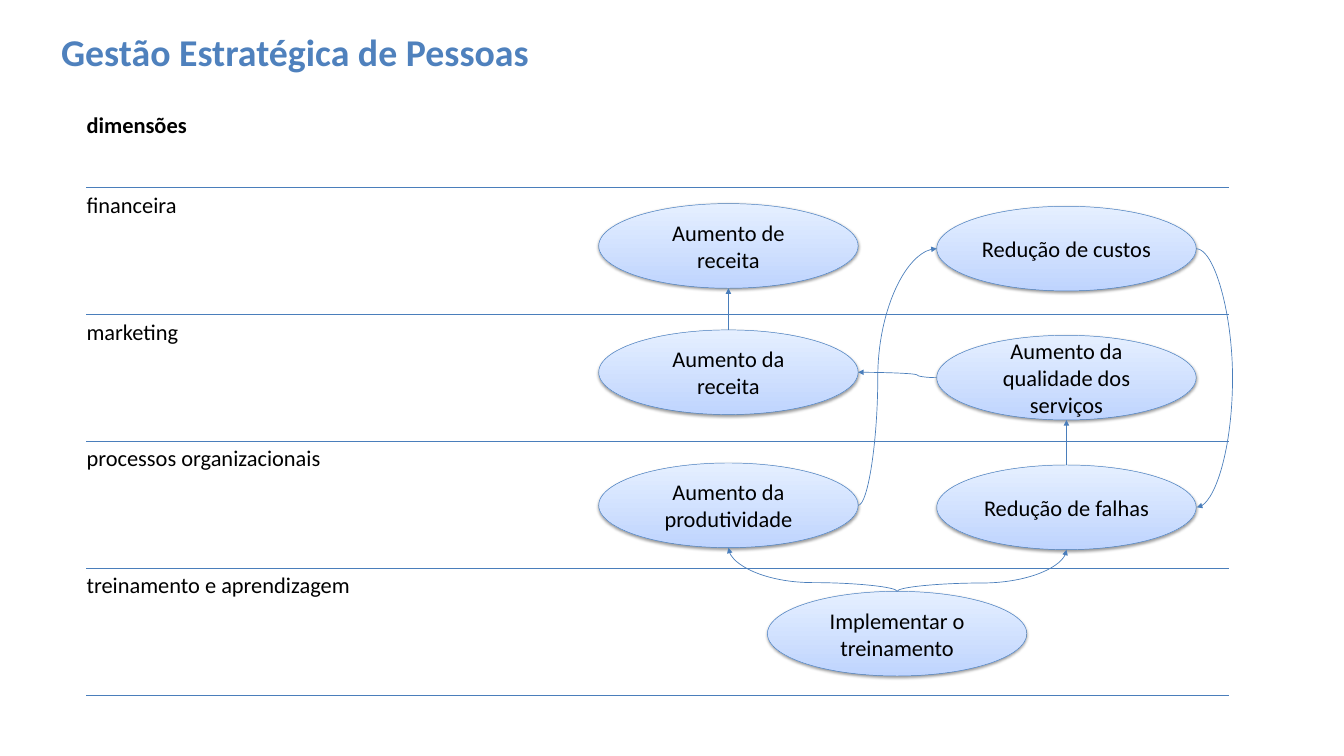
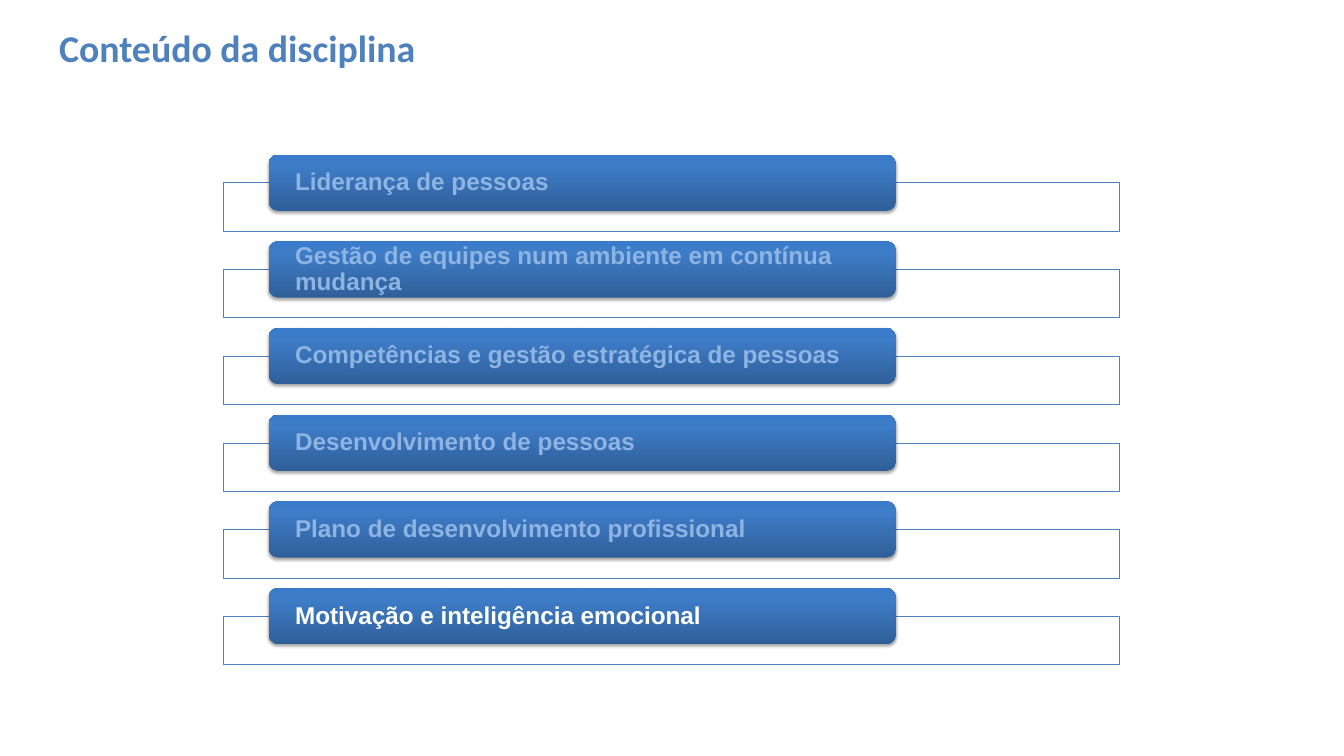
from lxml import etree
from pptx import Presentation
from pptx.dml.color import RGBColor
from pptx.enum.shapes import MSO_CONNECTOR, MSO_SHAPE
from pptx.enum.text import MSO_ANCHOR, MSO_AUTO_SIZE, PP_ALIGN
from pptx.oxml import parse_xml
from pptx.oxml.ns import nsdecls, qn
from pptx.util import Inches, Pt

COLORS = {
    "title": "4F81BD", "line": "4A7EBB", "text": "000000", "white": "FFFFFF",
    "faded": "8EB4E3", "ellipse_low": "BFD4FE", "ellipse_high": "E5EFFF",
    "bar_low": "2F5F99", "bar_mid": "3D7CC7", "bar_high": "3A7CCB",
}
ELLIPSE_WIDTH, ELLIPSE_HEIGHT = 3.86, 1.26


def write(box, text, size=24, font="Calibri", color="text", bold=False, align=PP_ALIGN.LEFT,
          anchor=MSO_ANCHOR.MIDDLE, inset=0.1, margin=0.05, spacing=None, grow=False):
    frame = box.text_frame
    frame.word_wrap = True
    if grow:
        frame.auto_size = MSO_AUTO_SIZE.SHAPE_TO_FIT_TEXT
    frame.vertical_anchor = anchor
    frame.margin_left = frame.margin_right = Inches(inset)
    frame.margin_top = frame.margin_bottom = Inches(margin)
    para = frame.paragraphs[0]
    para.alignment = align
    para.line_spacing = spacing
    span = para.add_run()
    span.text = text
    span.font.size = Pt(size)
    span.font.name = font
    span.font.bold = bold
    span.font.color.rgb = RGBColor.from_string(COLORS[color])


def add_gloss(shape, stops, opacity, distance):
    gradient = parse_xml(
        f'<a:gradFill {nsdecls("a")} rotWithShape="1"><a:gsLst/>'
        '<a:lin ang="16200000" scaled="0"/></a:gradFill>')
    for position, color in stops:
        stop = etree.SubElement(gradient[0], qn("a:gs"), pos=str(position * 1000))
        etree.SubElement(stop, qn("a:srgbClr"), val=COLORS[color])
    properties = shape.element.spPr
    properties.find(qn("a:prstGeom")).addnext(gradient)
    shape.shadow.inherit = False
    properties.find(qn("a:effectLst")).append(parse_xml(
        f'<a:outerShdw {nsdecls("a")} blurRad="{Pt(3.1)}" dist="{Pt(distance)}" dir="5400000" '
        f'rotWithShape="0"><a:srgbClr val="000000"><a:alpha val="{opacity * 1000}"/>'
        '</a:srgbClr></a:outerShdw>'))


deck = Presentation()
deck.slide_width = Inches(20)
deck.slide_height = Inches(11.25)
pages = []
for title, left, top, width in [
    ("Gestão Estratégica de Pessoas", 0.81, 0.41, 17.55),
    ("Conteúdo da disciplina", 0.78, 0.35, 13.65),
]:
    page = deck.slides.add_slide(deck.slide_layouts[6])
    box = page.shapes.add_textbox(Inches(left), Inches(top), Inches(width), Inches(0.71))
    write(box, title, size=40.5, color="title", bold=True)
    pages.append(page)
map_page, contents_page = pages

connectors = []
for row in range(5):
    y = Inches(2.79 + 1.89 * row)
    connectors.append(map_page.shapes.add_connector(
        MSO_CONNECTOR.STRAIGHT, Inches(1.28), y, Inches(18.29), y))

for label, top, width in [
    ("dimensões", 1.61, 1.8),
    ("financeira", 2.79, 1.65),
    ("marketing", 4.68, 1.7),
    ("processos organizacionais", 6.56, 3.8),
    ("treinamento e aprendizagem", 8.45, 6.82),
]:
    box = map_page.shapes.add_textbox(Inches(1.19), Inches(top), Inches(width), Inches(0.5))
    write(box, label, bold=label == "dimensões", anchor=MSO_ANCHOR.TOP, grow=True)

goals = {}
for name, label, left, top in [
    ("training", "Implementar o treinamento", 11.42, 8.8),
    ("productivity", "Aumento da produtividade", 8.91, 6.89),
    ("failures", "Redução de falhas", 13.94, 6.92),
    ("costs", "Redução de custos", 13.94, 3.07),
    ("quality", "Aumento da qualidade dos serviços", 13.94, 4.99),
    ("market_revenue", "Aumento da receita", 8.91, 4.91),
    ("revenue", "Aumento de receita", 8.91, 3.03),
]:
    goal = map_page.shapes.add_shape(
        MSO_SHAPE.OVAL, Inches(left), Inches(top), Inches(ELLIPSE_WIDTH), Inches(ELLIPSE_HEIGHT))
    goal.line.color.rgb = RGBColor.from_string(COLORS["line"])
    goal.line.width = Pt(0.5)
    add_gloss(goal, [(0, "ellipse_low"), (100, "ellipse_high")], 38, 1.6)
    write(goal, label, align=PP_ALIGN.CENTER)
    goals[name] = goal

arrows = []
for source, target in [("failures", "quality"), ("market_revenue", "revenue")]:
    start, end = goals[source], goals[target]
    x = end.left + end.width // 2
    arrow = map_page.shapes.add_connector(
        MSO_CONNECTOR.STRAIGHT, x, start.top, x, end.top + end.height)
    arrow.begin_connect(start, 0)
    arrows.append(arrow)

for begin_x, begin_y, end_x, end_y, bend, vertical in [
    (13.35, 8.8, 15.87, 8.18, 0.2, True),
    (13.35, 8.8, 10.84, 8.15, 0.2, True),
    (17.8, 3.7, 17.81, 7.55, 55, False),
    (12.77, 7.52, 13.94, 3.7, 0.25, False),
    (13.94, 5.62, 12.77, 5.54, 0.25, False),
]:
    arrow = map_page.shapes.add_connector(
        MSO_CONNECTOR.CURVE, Inches(begin_x), Inches(begin_y), Inches(end_x), Inches(end_y))
    properties = arrow.element.spPr
    if vertical:
        width, height = arrow.width, arrow.height
        arrow.left += (width - height) // 2
        arrow.top += (height - width) // 2
        arrow.width, arrow.height = height, width
        rightward = end_x > begin_x
        transform = properties.find(qn("a:xfrm"))
        transform.set("rot", "5400000" if rightward else "16200000")
        transform.set("flipH", "1" if rightward else "0")
        transform.set("flipV", "1")
    guides = properties.find(qn("a:prstGeom")).find(qn("a:avLst"))
    etree.SubElement(guides, qn("a:gd"), name="adj1", fmla=f"val {round(bend * 100000)}")
    arrows.append(arrow)

for connector in connectors + arrows:
    connector.line.color.rgb = RGBColor.from_string(COLORS["line"])
    connector.line.width = Pt(0.75)
    etree.SubElement(connector.element.spPr, qn("a:effectLst"))
for arrow in arrows:
    etree.SubElement(arrow.element.spPr.find(qn("a:ln")), qn("a:tailEnd"), type="triangle")

topics = [
    "Liderança de pessoas",
    "Gestão de equipes num ambiente em contínua mudança",
    "Competências e gestão estratégica de pessoas",
    "Desenvolvimento de pessoas",
    "Plano de desenvolvimento profissional",
    "Motivação e inteligência emocional",
]
for row, topic in enumerate(topics):
    top = 2.3 + 1.29 * row
    panel = contents_page.shapes.add_shape(
        MSO_SHAPE.RECTANGLE, Inches(3.33), Inches(top + 0.42), Inches(13.33), Inches(0.72))
    panel.shadow.inherit = False
    panel.fill.solid()
    panel.fill.fore_color.rgb = RGBColor.from_string(COLORS["white"])
    fill_color = panel.element.spPr.find(qn("a:solidFill"))[0]
    etree.SubElement(fill_color, qn("a:alpha"), val="90000")
    panel.line.color.rgb = RGBColor.from_string(COLORS["title"])
    panel.line.width = Pt(0.75)

    bar = contents_page.shapes.add_shape(
        MSO_SHAPE.ROUNDED_RECTANGLE, Inches(4), Inches(top), Inches(9.33), Inches(0.84))
    bar.line.fill.background()
    add_gloss(bar, [(0, "bar_low"), (80, "bar_mid"), (100, "bar_high")], 35, 1.8)
    write(bar, topic, size=26, font="Arial", bold=True, inset=0.35, margin=0, spacing=0.9,
          color="white" if topic == topics[-1] else "faded")

deck.save("out.pptx")
